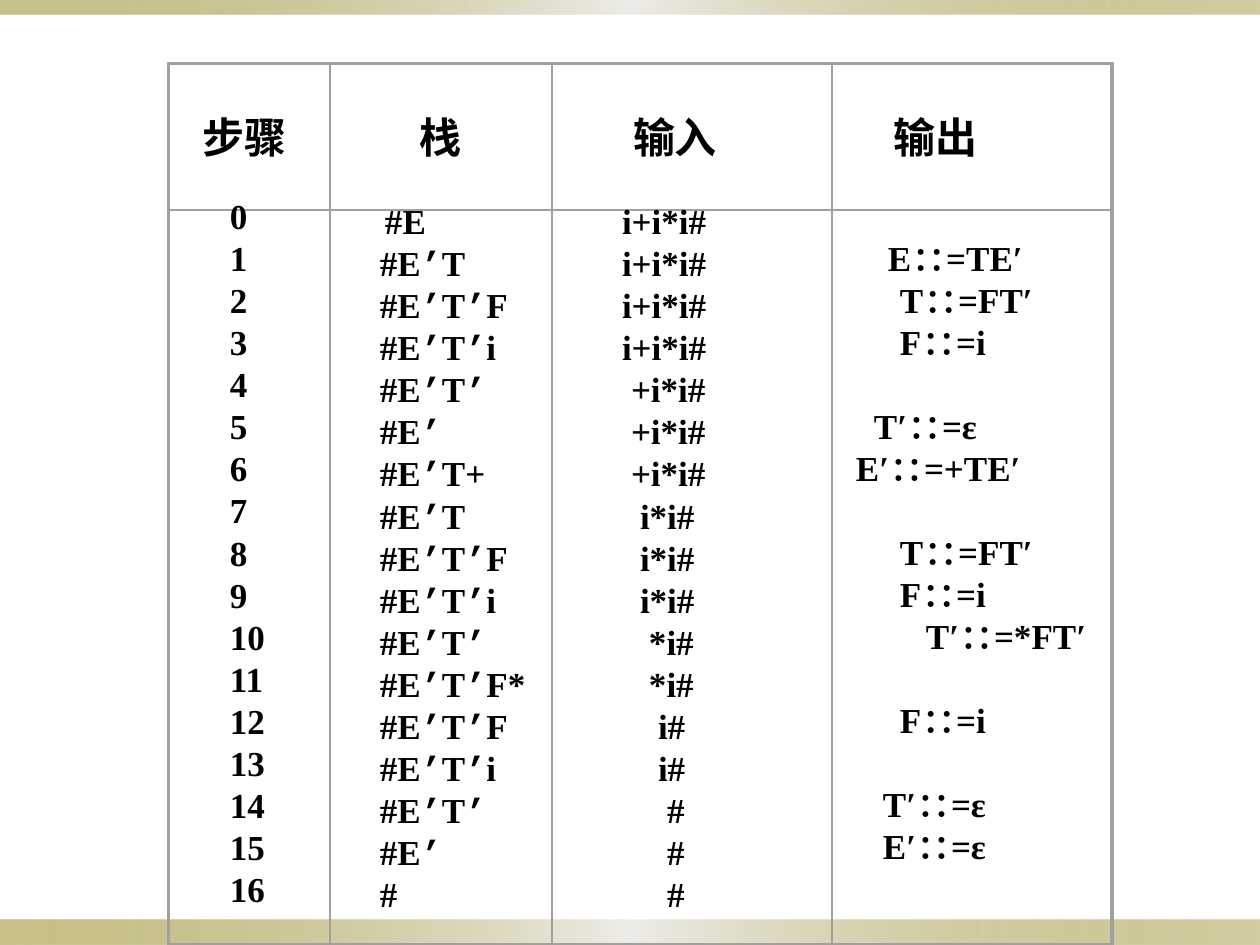
from itertools import pairwise

from lxml.etree import SubElement
from pptx import Presentation
from pptx.dml.color import RGBColor
from pptx.enum.shapes import MSO_SHAPE
from pptx.enum.text import MSO_ANCHOR, PP_ALIGN
from pptx.oxml.ns import qn
from pptx.util import Emu, Pt

WIDTH, HEIGHT = 1260, 945
ROW_PITCH = 42  # px between lines, equal to 24 pt
COLUMN_EDGES = [169, 330, 552, 832, 1111]
HEADER_TOP, BODY_TOP, TABLE_BOTTOM = 64, 210, 944
CELL_PADDING = 12

HEADERS = [("步骤", 22), ("栈", None), ("输入", 69), ("输出", 50)]
STACKS = ["#E", "#E’T", "#E’T’F", "#E’T’i", "#E’T’", "#E’", "#E’T+", "#E’T",
          "#E’T’F", "#E’T’i", "#E’T’", "#E’T’F*", "#E’T’F", "#E’T’i",
          "#E’T’", "#E’", "#"]
FULL_INPUT = "i+i*i#"
CONSUMED = [0, 0, 0, 0, 1, 1, 1, 2, 2, 2, 3, 3, 4, 4, 5, 5, 5]
# step: (production, indent in px)
OUTPUTS = {1: ("E∷=TE′", 44), 2: ("T∷=FT′", 56), 3: ("F∷=i", 56),
           5: ("T′∷=ε", 30), 6: ("E′∷=+TE′", 12), 8: ("T∷=FT′", 56),
           9: ("F∷=i", 56), 10: ("T′∷=*FT′", 82), 12: ("F∷=i", 56),
           14: ("T′∷=ε", 39), 15: ("E′∷=ε", 39)}


def px(length):
    return Emu(round(length * 914400 / 126))


def color(value):
    return RGBColor.from_string(value)


class SlideBuilder:
    font = "Times New Roman"
    prime_font = "Courier New"
    ink = "000000"
    border = "A0A0A0"
    band_stops = [(0, "918415", 50), (50, "EEEDE8", 100), (100, "918415", 40)]

    def __init__(self, slide):
        self.slide = slide

    def rectangle(self, left, top, width, height):
        shape = self.slide.shapes.add_shape(
            MSO_SHAPE.RECTANGLE, px(left), px(top), px(width), px(height))
        shape.shadow.inherit = False
        return shape

    def band(self, top, height):
        shape = self.rectangle(0, top, WIDTH, height)
        shape.line.fill.background()
        shape.fill.gradient()
        shape.fill.gradient_angle = 0
        stops = shape.element.spPr.find(qn("a:gradFill")).find(qn("a:gsLst"))
        for stop in list(stops):
            stops.remove(stop)
        for position, value, opacity in self.band_stops:
            stop = SubElement(stops, qn("a:gs"), pos=str(position * 1000))
            tint = SubElement(stop, qn("a:srgbClr"), val=value)
            SubElement(tint, qn("a:alpha"), val=str(opacity * 1000))

    def frame(self, left, top, width, height, weight=0):
        shape = self.rectangle(left, top, width, height)
        shape.fill.background()
        shape.line.color.rgb = color(self.border)
        shape.line.width = Pt(weight)

    def text_box(self, left, top, width, height, bottom_inset=0):
        box = self.slide.shapes.add_textbox(px(left), px(top), px(width), px(height))
        text_frame = box.text_frame
        text_frame.word_wrap = True
        text_frame.vertical_anchor = MSO_ANCHOR.MIDDLE
        text_frame.margin_left = text_frame.margin_right = text_frame.margin_top = 0
        text_frame.margin_bottom = px(bottom_inset)
        return text_frame

    def style(self, paragraph, size, indent):
        paragraph.font.name = self.font
        paragraph.font.size = Pt(size)
        paragraph.font.bold = True
        paragraph.font.color.rgb = color(self.ink)
        if indent is None:
            paragraph.alignment = PP_ALIGN.CENTER
        else:
            paragraph._p.get_or_add_pPr().set("marL", str(px(indent)))

    def header(self, left, width, text, indent):
        text_frame = self.text_box(left, HEADER_TOP, width, BODY_TOP - HEADER_TOP)
        paragraph = text_frame.paragraphs[0]
        paragraph.text = text
        self.style(paragraph, 24, indent)

    def column(self, left, top, width, lines, bottom_inset):
        """Each line is (text, indent, rows skipped above it)."""
        text_frame = self.text_box(
            left, top, width, TABLE_BOTTOM - BODY_TOP, bottom_inset)
        for index, (text, indent, skipped) in enumerate(lines):
            paragraph = text_frame.add_paragraph() if index else text_frame.paragraphs[0]
            self.style(paragraph, 20, indent)
            paragraph.line_spacing = px(ROW_PITCH)
            paragraph.space_before = px(ROW_PITCH * skipped)
            for part_index, part in enumerate(text.split("’")):
                if part_index:
                    prime = paragraph.add_run()
                    prime.text = "’"
                    prime.font.name = self.prime_font
                if part:
                    paragraph.add_run().text = part


def main():
    presentation = Presentation()
    presentation.slide_width, presentation.slide_height = px(WIDTH), px(HEIGHT)
    builder = SlideBuilder(presentation.slides.add_slide(presentation.slide_layouts[6]))

    # Top and bottom bands
    builder.band(920, 25)
    builder.band(0, 15)

    # Grid and headers
    cells = [(left + CELL_PADDING, right - left - 2 * CELL_PADDING)
             for left, right in pairwise(COLUMN_EDGES)]
    for left, right in pairwise(COLUMN_EDGES):
        for top, bottom in pairwise([HEADER_TOP, BODY_TOP, TABLE_BOTTOM]):
            builder.frame(left, top, right - left, bottom - top)
    for (left, width), (text, indent) in zip(cells, HEADERS):
        builder.header(left, width, text, indent)

    # Body columns: step, stack, input, output
    steps = [(str(step), 49, 0) for step in range(len(STACKS))]
    stacks = [(stack, 38 if step else 43, 0) for step, stack in enumerate(STACKS)]
    inputs = [(FULL_INPUT[used:], 58 + 9 * used, 0) for used in CONSUMED]
    outputs = []
    previous = 0
    for step, (text, indent) in OUTPUTS.items():
        outputs.append((text, indent, step - previous - 1))
        previous = step
    columns = [(steps, BODY_TOP, 50), (stacks, BODY_TOP, 40),
               (inputs, BODY_TOP, 40), (outputs, BODY_TOP + 10, 71)]
    for (left, width), (lines, top, bottom_inset) in zip(cells, columns):
        builder.column(left, top, width, lines, bottom_inset)

    # Outer frame
    builder.frame(168, 63, 945, 882, 0.75)
    presentation.save("out.pptx")


if __name__ == "__main__":
    main()
